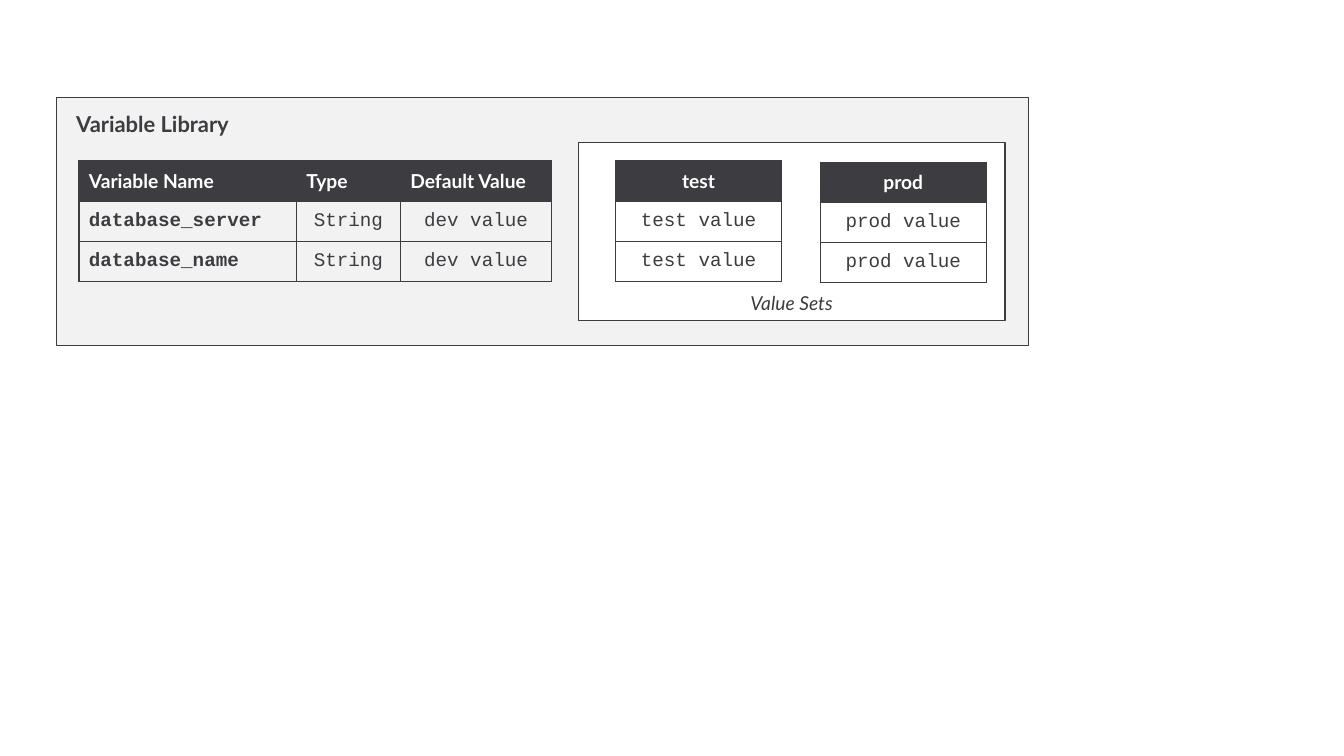
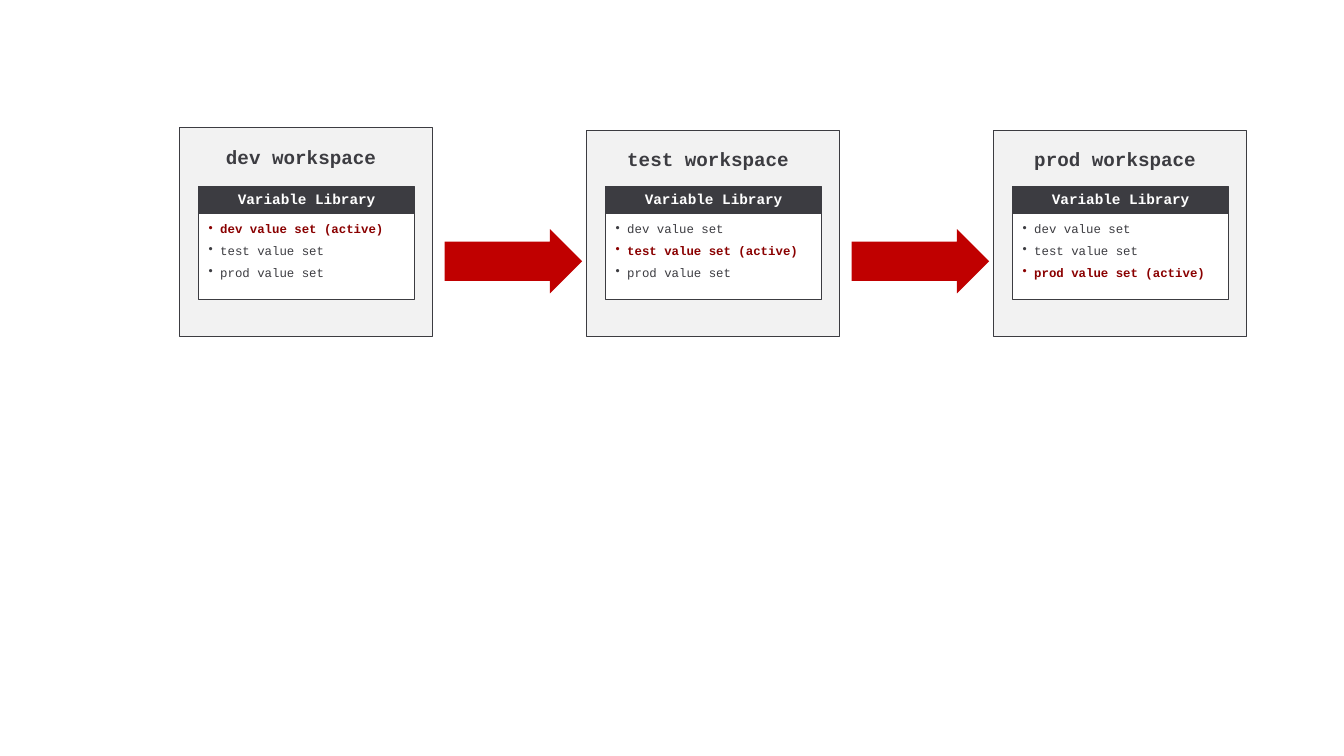
from pptx import Presentation
from pptx.dml.color import RGBColor
from pptx.enum.shapes import MSO_SHAPE
from pptx.enum.text import MSO_ANCHOR, PP_ALIGN
from pptx.oxml.ns import qn
from pptx.util import Cm, Pt
from lxml.etree import SubElement

INK, PANEL, WHITE = "3C3C41", "F2F2F2", "FFFFFF"
ARROW_RED, ACTIVE_RED = "C00000", "8A0000"
SANS, MONO = "Lato", "Courier New"
ROW_HEIGHT = 1.03
STAGES = ["dev", "test", "prod"]
PITCH = 10.46
WORKSPACE_TOPS = [3.28, 3.35, 3.35]
WORKSPACE_BOTTOM = 8.66


def rgb(value):
    """Turn a hex string into a colour."""
    return RGBColor.from_string(value)


def apply(target, values):
    """Set each named format value on the target."""
    for name, value in values.items():
        setattr(target, name, value)


def font_format(name, size, color=INK, **style):
    """Describe a font as a dict of format values."""
    return {"name": name, "size": Pt(size), "color": color, **style}


def write(paragraph, text, font, **layout):
    """Put one formatted run into a paragraph."""
    apply(paragraph, layout)
    run = paragraph.add_run()
    run.text = text
    values = dict(font)
    run.font.color.rgb = rgb(values.pop("color"))
    apply(run.font, values)


def add_box(shapes, area, fill, line=INK, kind=MSO_SHAPE.RECTANGLE):
    """Draw a flat filled shape with an optional thin outline."""
    box = shapes.add_shape(kind, *map(Cm, area))
    box.shadow.inherit = False
    box.fill.solid()
    box.fill.fore_color.rgb = rgb(fill)
    if line:
        box.line.color.rgb = rgb(line)
        box.line.width = Pt(0.75)
    else:
        box.line.fill.background()
    return box


def set_frame(box, insets, anchor=MSO_ANCHOR.TOP):
    """Set left, top, right and bottom insets and return the text frame."""
    frame = box.text_frame
    sides = ("margin_left", "margin_top", "margin_right", "margin_bottom")
    apply(frame, dict(zip(sides, map(Cm, insets))))
    apply(frame, {"word_wrap": True, "vertical_anchor": anchor})
    return frame


def add_label(shapes, area, fill, text, font, insets,
              align=PP_ALIGN.CENTER, anchor=MSO_ANCHOR.TOP, **layout):
    """Draw a box that holds one line of text."""
    frame = set_frame(add_box(shapes, area, fill), insets, anchor)
    write(frame.paragraphs[0], text, font, alignment=align,
          line_spacing=0.9, **layout)


def add_bullet(paragraph):
    """Give a paragraph a hanging bullet."""
    properties = paragraph._p.get_or_add_pPr()
    properties.set("marL", str(Cm(0.3)))
    properties.set("indent", str(-Cm(0.3)))
    SubElement(properties, qn("a:buChar"), char="•")


def add_borders(cell):
    """Outline all four sides of a table cell."""
    properties = cell._tc.get_or_add_tcPr()
    for side in ("lnL", "lnR", "lnT", "lnB"):
        border = SubElement(properties, qn(f"a:{side}"), w=str(Pt(1)))
        fill = SubElement(border, qn("a:solidFill"))
        SubElement(fill, qn("a:srgbClr"), val=INK)


def add_grid(slide, left, top, widths, rows, body_fill):
    """Add a table with a dark header; several columns make the first a name column."""
    table = slide.shapes.add_table(
        len(rows), len(widths), Cm(left), Cm(top),
        Cm(sum(widths)), Cm(ROW_HEIGHT * len(rows))).table
    apply(table, {"first_row": False, "horz_banding": False})
    for column, width in zip(table.columns, widths):
        column.width = Cm(width)
    named = len(widths) > 1
    for r, row in enumerate(rows):
        table.rows[r].height = Cm(ROW_HEIGHT)
        for c, text in enumerate(row):
            header, name = r == 0, named and c == 0
            cell = table.cell(r, c)
            add_borders(cell)
            cell.fill.solid()
            cell.fill.fore_color.rgb = rgb(INK if header else body_fill)
            cell.vertical_anchor = MSO_ANCHOR.MIDDLE
            font = (font_format(SANS, 14, WHITE, bold=True) if header
                    else font_format(MONO, 14, bold=name))
            to_left = name or (named and header)
            write(cell.text_frame.paragraphs[0], text, font,
                  alignment=PP_ALIGN.LEFT if to_left else PP_ALIGN.CENTER)


def add_library(slide, left, active):
    """Draw a variable library that marks its active value set."""
    shapes = slide.shapes.add_group_shape().shapes
    value_sets = add_box(shapes, (left, 5.49, 5.54, 2.21), WHITE)
    frame = set_frame(value_sets, (0.25, 0.25, 0, 0.25))
    for i, stage in enumerate(STAGES):
        paragraph = frame.add_paragraph() if i else frame.paragraphs[0]
        is_active = stage == active
        write(paragraph, f"{stage} value set" + (" (active)" if is_active else ""),
              font_format(MONO, 9, ACTIVE_RED if is_active else INK, bold=is_active),
              alignment=PP_ALIGN.LEFT, line_spacing=0.9, space_before=Pt(6))
        add_bullet(paragraph)
    add_label(shapes, (left, 4.8, 5.54, 0.69), INK, "Variable Library",
              font_format(MONO, 10.5, WHITE, bold=True), (0, 0, 0, 0),
              anchor=MSO_ANCHOR.MIDDLE, space_before=Pt(6))


def build_variable_library(slide):
    """Show the variables with their defaults and value sets."""
    add_label(slide.shapes, (1.45, 2.51, 24.99, 6.38), PANEL, "Variable Library",
              font_format(SANS, 16, bold=True), (0.51, 0.41, 0.51, 0.41),
              align=PP_ALIGN.LEFT)
    add_label(slide.shapes, (14.86, 3.66, 10.97, 4.57), WHITE, "Value Sets",
              font_format(SANS, 14, italic=True), (0.51, 0.25, 0.51, 0.13),
              anchor=MSO_ANCHOR.BOTTOM)
    for stage, left, top in (("test", 15.82, 4.14), ("prod", 21.08, 4.17)):
        value = f"{stage} value"
        add_grid(slide, left, top, [4.27], [[stage], [value], [value]], WHITE)
    variables = [["Variable Name", "Type", "Default Value"]]
    variables += [[name, "String", "dev value"]
                  for name in ("database_server", "database_name")]
    add_grid(slide, 2.03, 4.14, [5.59, 2.67, 3.89], variables, PANEL)


def build_workspaces(slide):
    """Show the deployment path from dev through test to prod."""
    shapes = slide.shapes.add_group_shape().shapes
    for i, (stage, top) in enumerate(zip(STAGES, WORKSPACE_TOPS)):
        add_label(shapes, (4.62 + i * PITCH, top, 6.5, WORKSPACE_BOTTOM - top),
                  PANEL, f"{stage} workspace", font_format(MONO, 14, bold=True),
                  (0.25, 0.51, 0.51, 0.51))
        if i:
            arrow = add_box(shapes, (11.43 + (i - 1) * PITCH, 5.89, 3.53, 1.65),
                            ARROW_RED, None, MSO_SHAPE.RIGHT_ARROW)
            arrow.adjustments[0] = 0.61
    for i, stage in enumerate(STAGES):
        add_library(slide, 5.11 + i * PITCH, stage)


def main():
    """Build and save the presentation."""
    deck = Presentation()
    apply(deck, {"slide_width": Cm(34.54), "slide_height": Cm(19.43)})
    for build in (build_variable_library, build_workspaces):
        build(deck.slides.add_slide(deck.slide_layouts[6]))
    deck.save("out.pptx")


if __name__ == "__main__":
    main()
